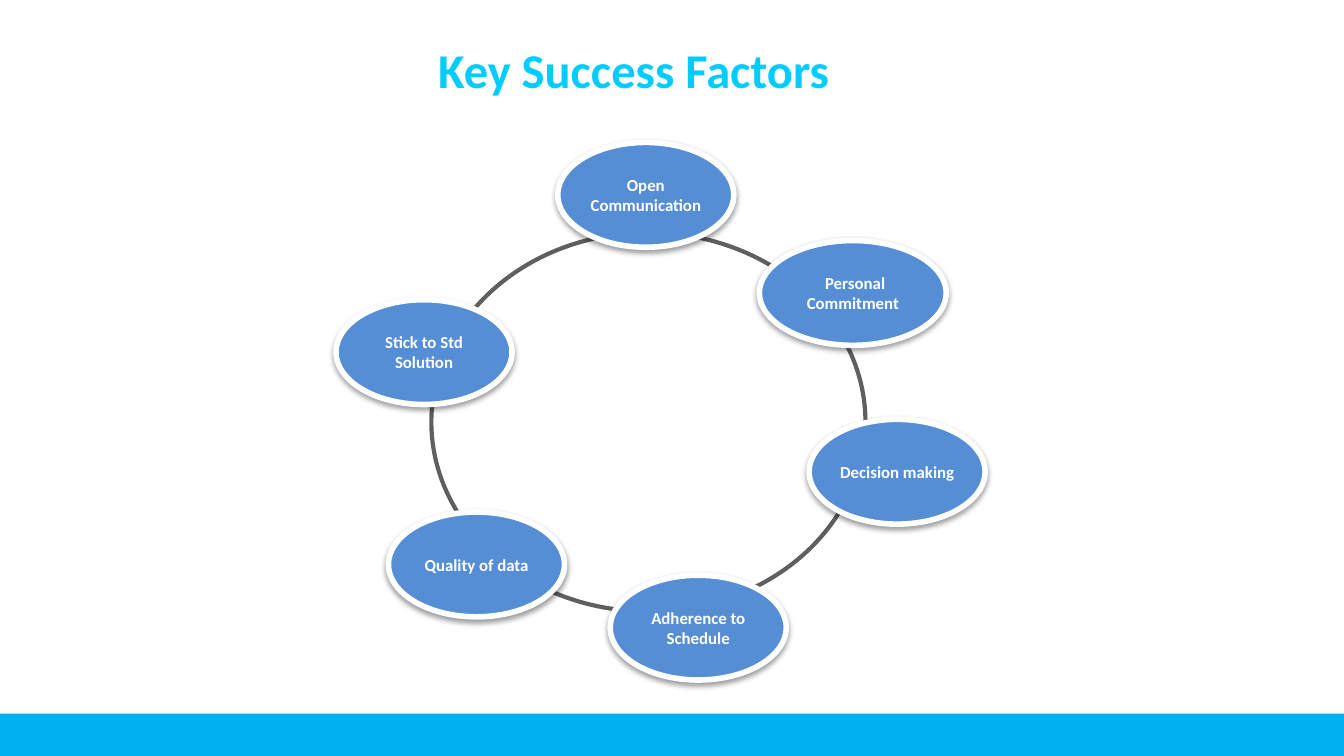
from lxml import etree
from pptx import Presentation
from pptx.dml.color import RGBColor
from pptx.enum.shapes import MSO_SHAPE
from pptx.enum.text import MSO_ANCHOR, PP_ALIGN
from pptx.util import Inches, Pt

OVAL, RECT = MSO_SHAPE.OVAL, MSO_SHAPE.RECTANGLE
TOP, MIDDLE = MSO_ANCHOR.TOP, MSO_ANCHOR.MIDDLE
LEFT, CENTER = PP_ALIGN.LEFT, PP_ALIGN.CENTER
SHADOW = (
    '<a:effectLst xmlns:a="http://schemas.openxmlformats.org/drawingml/2006/main">'
    '<a:outerShdw blurRad="39370" dist="20320" dir="5400000" rotWithShape="0">'
    '<a:srgbClr val="000000"><a:alpha val="38000"/></a:srgbClr>'
    '</a:outerShdw></a:effectLst>'
)


def write(shape, text, size, color, align=LEFT, anchor=TOP, side=0.07, edge=0.04, rtl=False):
    frame = shape.text_frame
    frame.word_wrap = True
    frame.vertical_anchor = anchor
    frame.margin_left = frame.margin_right = Inches(side)
    frame.margin_top = frame.margin_bottom = Inches(edge)
    frame.text = text
    for para in frame.paragraphs:
        para.alignment = align
        if rtl:
            para._p.get_or_add_pPr().set("rtl", "1")
        for run in para.runs:
            run.font.name = "Calibri"
            run.font.size = Pt(size)
            run.font.bold = True
            run.font.color.rgb = RGBColor.from_string(color)


def draw(kind, box, fill, line=None, width=0):
    shape = slide.shapes.add_shape(kind, *[Inches(v) for v in box])
    shape.shadow.inherit = False
    shape.fill.solid()
    shape.fill.fore_color.rgb = RGBColor.from_string(fill)
    if line:
        shape.line.color.rgb = RGBColor.from_string(line)
        shape.line.width = Pt(width)
    else:
        shape.line.fill.background()
    return shape


deck = Presentation()
deck.slide_width = Inches(10)
deck.slide_height = Inches(10 * 9 / 16)
slide = deck.slides.add_slide(deck.slide_layouts[6])

draw(RECT, (0, 5.31, 10, 0.33), "00B0F0")
title = slide.shapes.add_textbox(Inches(3.19), Inches(0.26), Inches(5.94), Inches(0.61))
write(title, "Key Success Factors", size=26, color="00CCFF")

draw(OVAL, (3.21, 1.73, 3.23, 2.82), "FFFFFF", line="5F5F5F", width=2.25)

factors = [
    ("Personal \nCommitment", 5.65, 1.79, 1.39),
    ("Decision making", 6.02, 3.12, 1.31),
    ("Quality of data", 2.89, 3.81, 1.31),
    ("Stick to Std Solution", 2.5, 2.23, 1.31),
    ("Open\nCommunication", 4.15, 1.06, 1.31),
    ("Adherence to Schedule", 4.54, 4.28, 1.31),
]
for text, left, top, width in factors:
    node = draw(OVAL, (left, top, width, 0.78), "558ED5", line="FFFFFF", width=3)
    props = node._element.spPr
    props.replace(props.find("{*}effectLst"), etree.fromstring(SHADOW))
    write(node, text, size=9, color="FFFFFF", align=CENTER, anchor=MIDDLE,
          side=0.02, edge=0.05, rtl=True)

deck.save("out.pptx")
